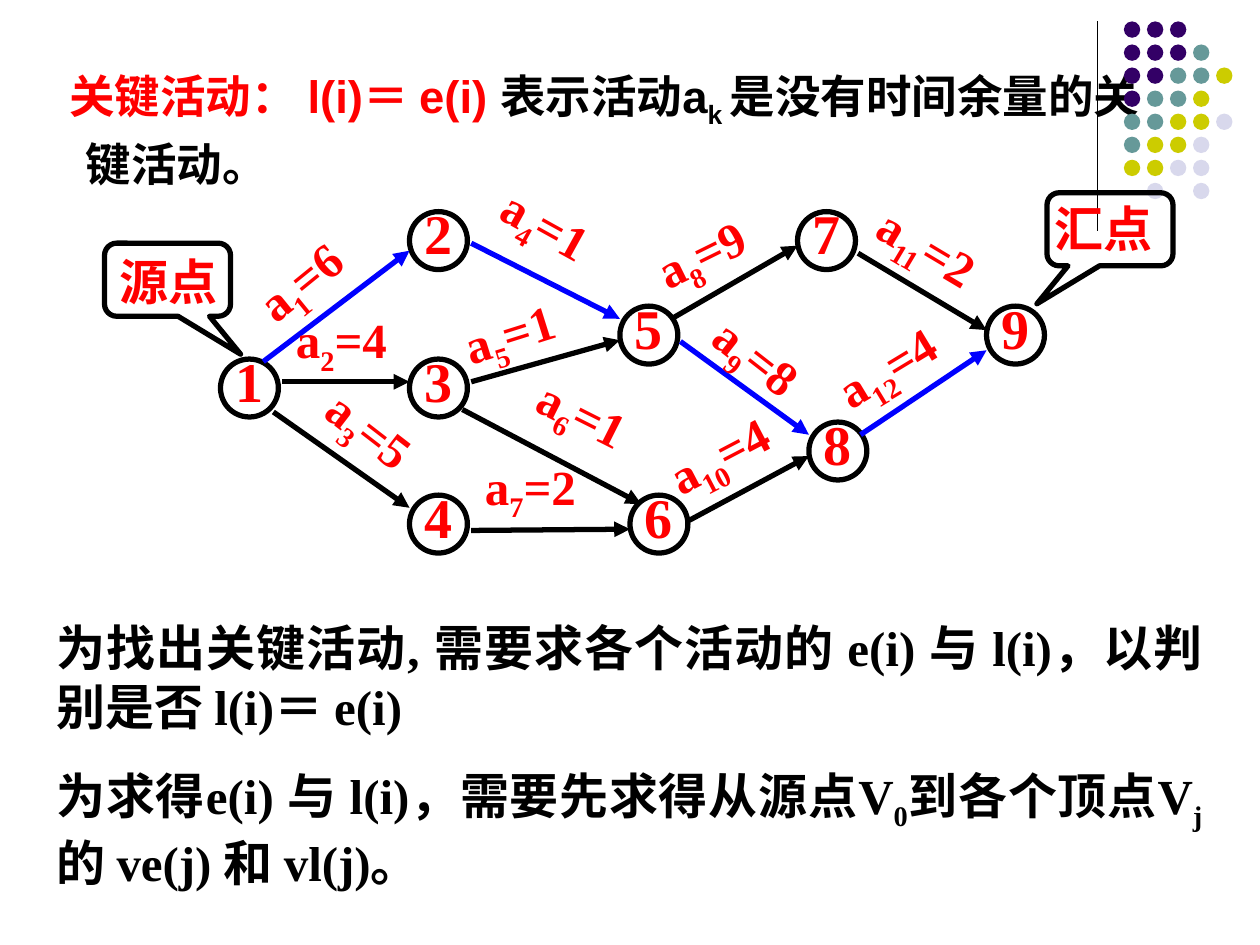
import pptx
import pptx.util
import pptx.dml.color
import pptx.enum.shapes
import pptx.enum.text
import pptx.oxml.ns
from lxml import etree

Inches, Pt = pptx.util.Inches, pptx.util.Pt
Shape = pptx.enum.shapes.MSO_SHAPE
Align = pptx.enum.text.PP_ALIGN
qn = pptx.oxml.ns.qn

THEME = {
    "red": "FF0000", "black": "000000", "blue": "0000FF",
    "P": "330066", "T": "669999", "Y": "CCCC00", "L": "D8D8EC",
    "head": 26, "text": 28, "node": 32, "line": 3, "rule": 0.75,
    "sans": "Arial", "serif": "Times New Roman",
}

# A run that starts with "_" is a subscript.
HEAD = ["关键活动： l(i)＝ e(i) ", "表示活动a", "_k ", "是没有时间余量的关键活动。"]
NOTES = [
    ["为找出关键活动, 需要求各个活动的 e(i) 与 l(i)，以判别是否 l(i)＝ e(i)"],
    ["为求得e(i) 与 l(i)，需要先求得从源点V", "_0", "到各个顶点V", "_j ",
     "的 ve(j) 和 vl(j)。"],
]

# Decoration: one letter per dot colour, a space for a gap
DOTS = ["PPP", "PPPT", "PPTTY", "PTTY", "TTYYL", "TYYL", "YYLL", " L L"]

# Event number: left, top of its circle
NODES = {
    1: (1.75, 2.85), 2: (3.25, 1.68), 3: (3.25, 2.85),
    4: (3.25, 3.93), 5: (4.92, 2.43), 6: (5, 3.93),
    7: (6.33, 1.68), 8: (6.42, 3.35), 9: (7.83, 2.43),
}

# Activity: number, duration, start, end, colour, label (left, top, width, turn)
EDGES = [
    (1, 6, (2.09, 2.87), (3.25, 1.99), "blue", (1.91, 1.86, 1.17, 320.9)),
    (2, 4, (2.24, 3.03), (3.25, 3.03), "black", (2.25, 2.41, 1.42, 0)),
    (3, 5, (2.17, 3.27), (3.25, 4.03), "black", (2.41, 3.27, 1.42, 37.7)),
    (4, 1, (3.74, 1.93), (4.92, 2.53), "blue", (3.83, 1.61, 1.42, 28.9)),
    (5, 1, (3.74, 3.03), (4.92, 2.7), "black", (3.58, 2.28, 1.42, 342.4)),
    (6, 1, (3.67, 3.25), (5.09, 4), "black", (4.15, 3.01, 1, 26.7)),
    (7, 2, (3.74, 4.21), (5, 4.2), "black", (3.75, 3.57, 1.42, 0)),
    (8, 9, (5.33, 2.53), (6.33, 1.95), "black", (5.09, 1.61, 1.42, 333.8)),
    (9, 8, (5.4, 2.71), (6.42, 3.45), "blue", (5.48, 2.69, 1.42, 38)),
    (10, 4, (5.47, 4.13), (6.42, 3.62), "black", (5.18, 3.23, 1.42, 332.4)),
    (11, 2, (6.81, 2.01), (7.83, 2.62), "black", (6.81, 1.77, 1.42, 30.9)),
    (12, 4, (6.83, 3.45), (7.83, 2.78), "blue", (6.51, 2.52, 1.42, 328.8)),
]

# Callout: text, text left and top, bubble left and top, pointer side
CALLS = [
    ("汇点", (8.17, 1.53), (8.31, 1.53), -1),
    ("源点", (0.75, 1.95), (0.83, 1.93), 1),
]


def rgb(name):
    return pptx.dml.color.RGBColor.from_string(THEME[name])


def write(para, runs, size, color, face="serif", align=None):
    font = para.font
    font.name, font.size, font.bold = THEME[face], Pt(THEME[size]), True
    font.color.rgb = rgb(color)
    para.alignment = align
    for text in runs:
        run = para.add_run()
        run.text = text.removeprefix("_")
        if text.startswith("_"):
            run._r.get_or_add_rPr().set("baseline", "-25000")


def add_box(slide, left, top, width, height):
    box = slide.shapes.add_textbox(*map(Inches, (left, top, width, height)))
    box.text_frame.word_wrap = True
    return box


def add_shape(slide, kind, left, top, width, height, fill=None):
    """Draw a filled shape, or a black outline when no fill is named."""
    shape = slide.shapes.add_shape(
        kind, *map(Inches, (left, top, width, height)))
    shape.shadow.inherit = False
    if fill:
        shape.fill.solid()
        shape.fill.fore_color.rgb = rgb(fill)
        shape.line.fill.background()
    else:
        shape.fill.background()
        shape.line.color.rgb = rgb("black")
        shape.line.width = Pt(THEME["line"])
    return shape


def add_line(slide, start, end, color, width, arrow=True):
    line = slide.shapes.add_connector(
        pptx.enum.shapes.MSO_CONNECTOR.STRAIGHT,
        *map(Inches, (*start, *end)))
    line.line.width = Pt(THEME[width])
    line.line.color.rgb = rgb(color)
    props = line.element.spPr
    if arrow:
        etree.SubElement(props.find(qn("a:ln")), qn("a:tailEnd"),
                         type="triangle")
    etree.SubElement(props, qn("a:effectLst"))


def add_dots(slide):
    add_line(slide, (8.71, 0.17), (8.71, 1.83), "black", "rule", False)
    step, size = 0.183, 0.13
    for row, dots in enumerate(DOTS):
        for col, key in enumerate(dots):
            if key != " ":
                add_shape(slide, Shape.OVAL, 8.92 + col * step,
                          0.17 + row * step, size, size, key)


def add_text(slide):
    title = slide.shapes.title.element
    title.getparent().remove(title)
    body = slide.placeholders[1]
    body.left, body.top, body.width, body.height = map(
        Inches, (0.2, 0.44, 8.98, 1.18))
    para = body.text_frame.paragraphs[0]
    write(para, HEAD, "head", "black", "sans")
    para.runs[0].font.color.rgb = rgb("red")
    para.line_spacing = 1.1
    props = para._p.get_or_add_pPr()
    props.set("marL", str(Inches(0.38)))
    props.set("indent", str(Inches(-0.13)))
    props.find(qn("a:defRPr")).addprevious(
        etree.Element(qn("a:buNone")))

    frame = add_box(slide, 0.35, 4.85, 9.29, 2.34).text_frame
    for pos, runs in enumerate(NOTES):
        para = frame.add_paragraph() if pos else frame.paragraphs[0]
        write(para, runs, "text", "black", align=Align.JUSTIFY)
        para.space_before = Pt(17.5)


def add_graph(slide):
    for num, (left, top) in NODES.items():
        add_shape(slide, Shape.OVAL, left, top, 0.46, 0.46)
        box = add_box(slide, left + 0.02, top - 0.15, 0.34, 0.64)
        write(box.text_frame.paragraphs[0], [str(num)], "node", "red",
              align=Align.CENTER)
    for num, time, start, end, color, (left, top, width, turn) in EDGES:
        add_line(slide, start, end, color, "line")
        box = add_box(slide, left, top, width, 0.63)
        box.rotation = turn
        write(box.text_frame.paragraphs[0], ["a", f"_{num}", f"={time}"],
              "text", "red")
    for text, place, bubble, side in CALLS:
        box = add_box(slide, *place, 1.17, 0.57)
        write(box.text_frame.paragraphs[0], [text], "text", "red",
              align=Align.CENTER)
        call = add_shape(slide, Shape.ROUNDED_RECTANGULAR_CALLOUT,
                         *bubble, 1, 0.58)
        call.adjustments[0] = side * 0.58
        call.adjustments[1] = 1.02


def main():
    deck = pptx.Presentation()
    deck.slide_width, deck.slide_height = Inches(10), Inches(7.5)
    slide = deck.slides.add_slide(deck.slide_layouts[1])
    add_dots(slide)
    add_text(slide)
    add_graph(slide)
    deck.save("out.pptx")


if __name__ == "__main__":
    main()
